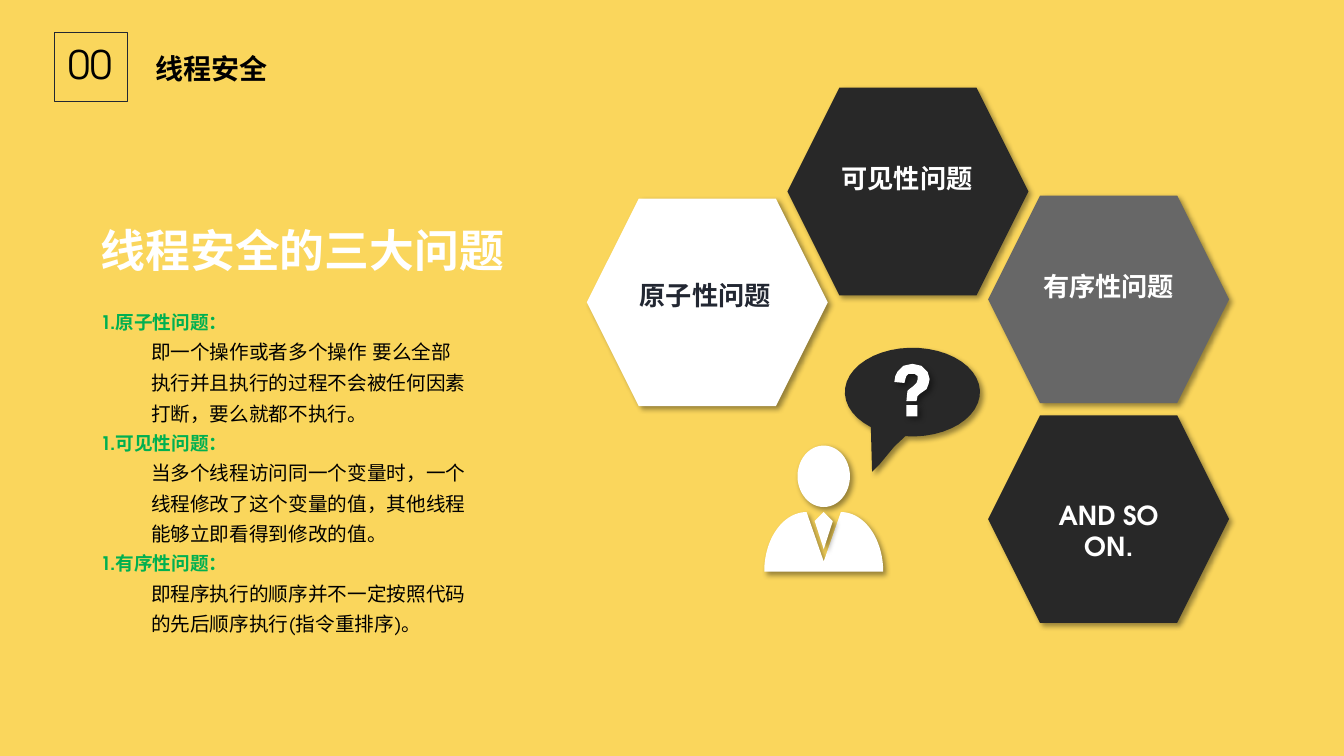
from dataclasses import dataclass
from math import cos, radians, sin

from lxml.etree import SubElement
from pptx import Presentation
from pptx.dml.color import RGBColor
from pptx.enum.shapes import MSO_SHAPE as SHAPE
from pptx.enum.text import MSO_ANCHOR as ANCHOR, PP_ALIGN as ALIGN
from pptx.oxml.ns import qn
from pptx.util import Inches, Pt

YELLOW, WHITE, BLACK = "FAD65C", "FFFFFF", "000000"
DARK, GREY, INK, GREEN = "282828", "676767", "222732", "00B050"
LATIN, CJK = "TeX Gyre Adventor", "Noto Sans CJK SC"

Point = tuple[float, float]
Box = tuple[float, float, float, float]


@dataclass
class Hexagon:
    x: float
    y: float
    fill: str
    label: str
    label_x: float
    label_y: float
    color: str = WHITE


@dataclass
class Issue:
    heading: str
    detail: str


HEXAGONS = [
    Hexagon(5.82, 1.97, WHITE, "原子性问题", 6.14, 2.72, INK),
    Hexagon(7.81, 0.87, DARK, "可见性问题", 8.14, 1.56),
    Hexagon(9.8, 1.94, GREY, "有序性问题", 10.14, 2.63),
    Hexagon(9.8, 4.12, DARK, "AND SO ON.", 10.14, 4.9),
]
ISSUES = [
    Issue("1.原子性问题：",
          "即一个操作或者多个操作 要么全部执行并且执行的过程不会被任何因素打断，要么就都不执行。"),
    Issue("1.可见性问题：",
          "当多个线程访问同一个变量时，一个线程修改了这个变量的值，其他线程能够立即看得到修改的值。"),
    Issue("1.有序性问题：",
          "即程序执行的顺序并不一定按照代码的先后顺序执行(指令重排序)。"),
]
QUESTION_HOOK = [
    (9.05, 3.61), (9.14, 3.63), (9.2, 3.69), (9.22, 3.76), (9.21, 3.81), (9.19, 3.86),
    (9.12, 3.91), (9.1, 3.93), (9.09, 3.98), (8.99, 3.98), (9, 3.88), (9.02, 3.86),
    (9.06, 3.83), (9.09, 3.8), (9.1, 3.77), (9.1, 3.73), (9.07, 3.71), (9.04, 3.71),
    (9.01, 3.71), (8.99, 3.73), (8.98, 3.76), (8.97, 3.8), (8.87, 3.79), (8.88, 3.73),
    (8.9, 3.69), (8.93, 3.66), (8.96, 3.63), (9, 3.62),
]


def rgb(color: str) -> RGBColor:
    return RGBColor.from_string(color)


def inches(values) -> list:
    return [Inches(v) for v in values]


def arc(cx: float, cy: float, rx: float, ry: float, start: int, end: int) -> list[Point]:
    """Points on an ellipse, clockwise from start to end degrees."""
    steps = 40
    angles = [radians(start + (end - start) * i / steps) for i in range(steps + 1)]
    return [(cx + rx * cos(a), cy + ry * sin(a)) for a in angles]


def finish(sp, fill: str) -> None:
    """Solid fill, no line, soft shadow towards the lower right."""
    sp.fill.solid()
    sp.fill.fore_color.rgb = rgb(fill)
    sp.line.fill.background()
    sp.shadow.inherit = False
    effects = sp._element.spPr.find(qn("a:effectLst"))
    shadow = SubElement(effects, qn("a:outerShdw"), blurRad=str(Pt(4)), dist=str(Pt(3)),
                        dir=str(45 * 60000), algn="tl", rotWithShape="0")
    color = SubElement(shadow, qn("a:srgbClr"), val=BLACK)
    SubElement(color, qn("a:alpha"), val="40000")


def add_preset(s, kind: SHAPE, box: Box, fill: str) -> None:
    finish(s.shapes.add_shape(kind, *inches(box)), fill)


def add_outline(s, points: list[Point], fill: str) -> None:
    start, *rest = [inches(pt) for pt in points]
    builder = s.shapes.build_freeform(*start, scale=1.0)
    builder.add_line_segments(rest, close=True)
    finish(builder.convert_to_shape(), fill)


def write(p, text: str, size: float, color: str, bold: bool = False, font: str = LATIN,
          **para) -> None:
    for name, value in para.items():
        setattr(p, name, value)
    r = p.add_run()
    r.text = text
    for name, value in dict(name=font, size=Pt(size), bold=bold).items():
        setattr(r.font, name, value)
    r.font.color.rgb = rgb(color)
    SubElement(r._r.get_or_add_rPr(), qn("a:ea"), typeface=font)


def add_text(s, box: Box, wrap: bool = True):
    tf = s.shapes.add_textbox(*inches(box)).text_frame
    tf.word_wrap = wrap
    return tf


def add_header(s) -> None:
    frame = s.shapes.add_shape(SHAPE.RECTANGLE, *inches((0.54, 0.32, 0.72, 0.69)))
    frame.fill.background()
    frame.line.color.rgb = rgb(INK)
    frame.line.width = Pt(0.75)
    frame.shadow.inherit = False
    number = add_text(s, (0.54, 0.4, 0.71, 0.53))
    write(number.paragraphs[0], "00", 28, BLACK, alignment=ALIGN.CENTER, line_spacing=0.9)

    title = s.shapes.title
    box = inches((1.44, 0.44, 3.46, 0.45))
    for name, value in zip(("left", "top", "width", "height"), box):
        setattr(title, name, value)
    tf = title.text_frame
    tf.vertical_anchor = ANCHOR.MIDDLE
    write(tf.paragraphs[0], "线程安全", 20, BLACK, True, CJK,
          alignment=ALIGN.LEFT, line_spacing=1.1)


def add_issues(s) -> None:
    heading = add_text(s, (0.9, 2, 4.24, 0.8), wrap=False)
    write(heading.paragraphs[0], "线程安全的三大问题", 32, WHITE, True, line_spacing=1.3)

    tf = add_text(s, (0.9, 2.97, 3.85, 3.51))
    for i, issue in enumerate(ISSUES):
        p = tf.add_paragraph() if i else tf.paragraphs[0]
        write(p, issue.heading, 13.3, GREEN, True, line_spacing=1.3)
        p = tf.add_paragraph()
        write(p, issue.detail, 14, BLACK, line_spacing=1.3, level=1)
        p._p.get_or_add_pPr().set("marL", str(Inches(0.5)))
        p._p.get_or_add_pPr().set("indent", "0")


def add_person(s) -> None:
    add_preset(s, SHAPE.OVAL, (7.91, 4.42, 0.52, 0.61), WHITE)
    left_shoulder = arc(8, 5.67, 0.42, 0.59, 180, 270)
    right_shoulder = arc(8.34, 5.67, 0.42, 0.59, 270, 360)
    add_outline(s, left_shoulder + [(8.17, 5.57)] + right_shoulder, WHITE)
    add_outline(s, [(8.17, 5.08), (8.26, 5.17), (8.17, 5.45), (8.08, 5.17)], WHITE)


def add_question(s) -> None:
    tail = [(8.87, 4.43), (8.73, 4.6), (8.65, 4.68)]
    add_outline(s, arc(9.05, 3.89, 0.67, 0.44, 128, 456) + tail, DARK)
    add_outline(s, QUESTION_HOOK, WHITE)
    add_preset(s, SHAPE.RECTANGLE, (8.99, 4.02, 0.11, 0.11), WHITE)


def add_hexagon(s, h: Hexagon) -> None:
    add_preset(s, SHAPE.HEXAGON, (h.x, h.y, 2.39, 2.06), h.fill)
    tf = add_text(s, (h.label_x, h.label_y, 1.71, 0.42))
    write(tf.paragraphs[0], h.label, 18.7, h.color, True, alignment=ALIGN.CENTER)


def main() -> None:
    prs = Presentation()
    prs.slide_width, prs.slide_height = inches((13.33, 7.5))
    s = prs.slides.add_slide(prs.slide_layouts[5])
    s.background.fill.solid()
    s.background.fill.fore_color.rgb = rgb(YELLOW)

    add_header(s)
    add_person(s)
    add_question(s)
    for h in HEXAGONS:
        add_hexagon(s, h)
    add_issues(s)
    prs.save("out.pptx")


if __name__ == "__main__":
    main()
